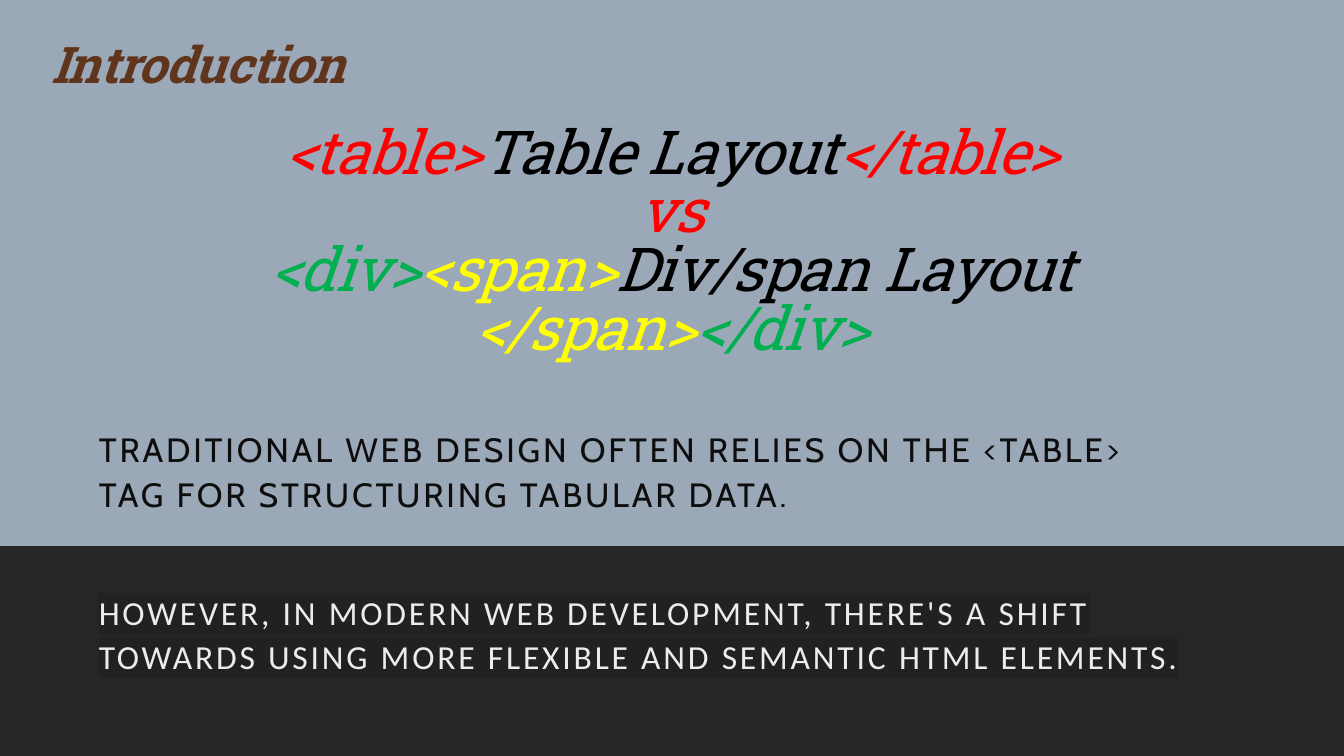
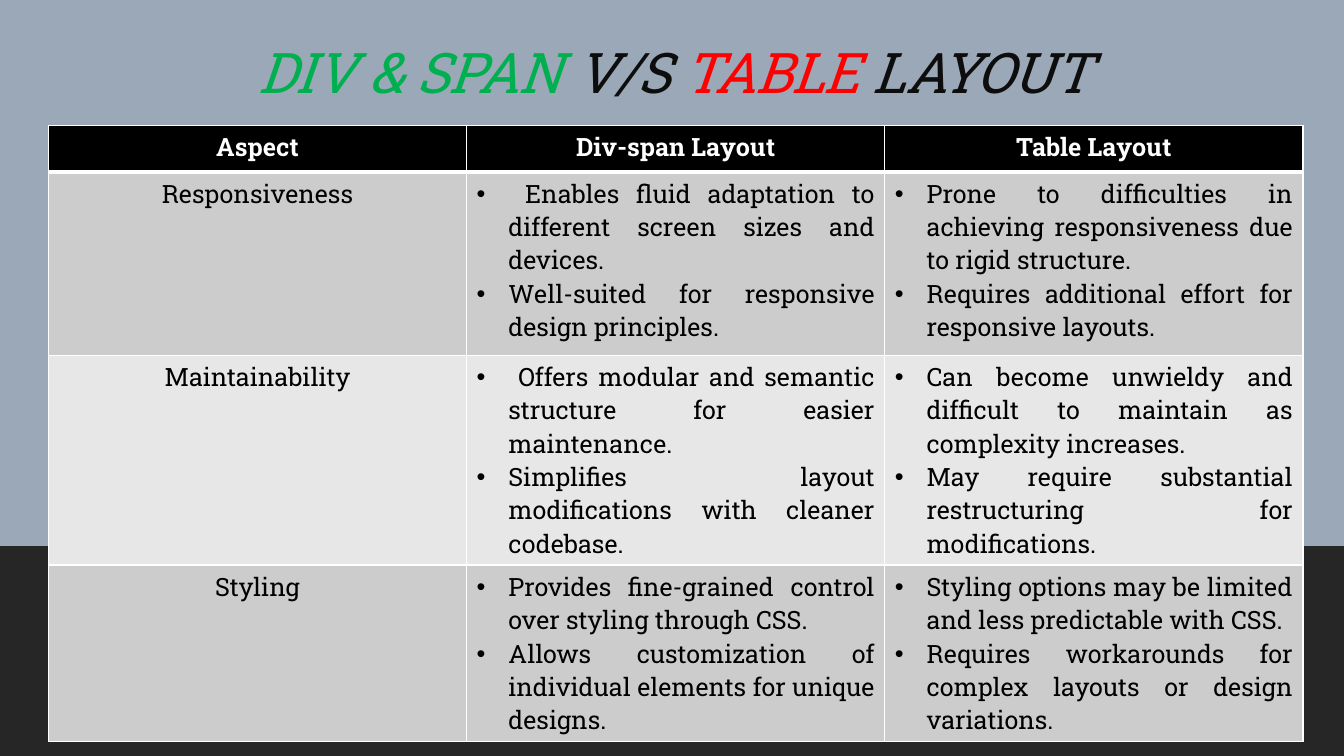
import pptx
import pptx.dml.color
import pptx.enum.shapes
import pptx.enum.text
import pptx.oxml.ns
import pptx.util
from lxml import etree

Cm = pptx.util.Cm
Pt = pptx.util.Pt
RGBColor = pptx.dml.color.RGBColor
ALIGN = pptx.enum.text.PP_ALIGN
ANCHOR = pptx.enum.text.MSO_ANCHOR
qn = pptx.oxml.ns.qn

# Shared colours and fonts
BLUE_GREY = RGBColor(0x9B, 0xA8, 0xB7)
CHARCOAL = RGBColor(0x26, 0x26, 0x26)
HIGHLIGHT = RGBColor(0x21, 0x21, 0x21)
BLACK = RGBColor(0x00, 0x00, 0x00)
INK = RGBColor(0x0D, 0x0D, 0x0D)
WHITE = RGBColor(0xFF, 0xFF, 0xFF)
OFF_WHITE = RGBColor(0xEC, 0xEC, 0xEC)
RED = RGBColor(0xFF, 0x00, 0x00)
GREEN = RGBColor(0x00, 0xB0, 0x50)
YELLOW = RGBColor(0xFF, 0xFF, 0x00)
BROWN = RGBColor(0x60, 0x35, 0x1D)
GREY = RGBColor(0xCC, 0xCC, 0xCC)
LIGHT_GREY = RGBColor(0xE7, 0xE7, 0xE7)
SLAB = "Roboto Slab"
TITLE_STYLE = {"font": SLAB, "italic": True, "tracking": -0.5}
BODY_STYLE = {"size": 24, "tracking": 2}


def write(paragraph, text, font=SLAB, size=18, color=BLACK, bold=False,
          italic=False, tracking=0, highlight=None):
    """Add a formatted run to a paragraph."""
    run = paragraph.add_run()
    run.text = text
    run.font.name = font
    run.font.size = Pt(size)
    run.font.bold = bold
    run.font.italic = italic
    run.font.color.rgb = color
    properties = run.font._element
    if tracking:
        properties.set("spc", str(int(tracking * 100)))
    if highlight is not None:
        mark = etree.Element(qn("a:highlight"))
        etree.SubElement(mark, qn("a:srgbClr"), val=str(highlight))
        properties.find(qn("a:solidFill")).addnext(mark)


def place(shape, left, top, width, height, align=ALIGN.LEFT,
          anchor=ANCHOR.MIDDLE, spacing=0.9):
    """Position a text shape and return its first paragraph."""
    shape.left, shape.top = Cm(left), Cm(top)
    shape.width, shape.height = Cm(width), Cm(height)
    frame = shape.text_frame
    frame.word_wrap = True
    frame.auto_size = pptx.enum.text.MSO_AUTO_SIZE.NONE
    frame.vertical_anchor = anchor
    paragraph = frame.paragraphs[0]
    paragraph.alignment = align
    paragraph.line_spacing = spacing
    paragraph.space_before = Pt(0)
    return paragraph


# Presentation with a common background and lower band
presentation = pptx.Presentation()
presentation.slide_width = Cm(33.87)
presentation.slide_height = Cm(19.05)
background = presentation.slide_master.background.fill
background.solid()
background.fore_color.rgb = BLUE_GREY

TITLE_SLIDE, TITLE_ONLY = 0, 5
slides = []
for layout_number in (TITLE_SLIDE, TITLE_ONLY):
    slide = presentation.slides.add_slide(presentation.slide_layouts[layout_number])
    band = slide.shapes.add_shape(
        pptx.enum.shapes.MSO_SHAPE.RECTANGLE, 0, Cm(13.76),
        presentation.slide_width, presentation.slide_height - Cm(13.76))
    band.shadow.inherit = False
    band.fill.solid()
    band.fill.fore_color.rgb = CHARCOAL
    band.line.fill.background()
    slides.append(slide)
introduction, comparison = slides

# Introduction: title in the form of markup
title = place(introduction.shapes.title, 4.9, 2.8, 24.08, 6.73,
              align=ALIGN.CENTER, spacing=0.81)
title_lines = [
    [("<table>", RED), ("Table Layout", BLACK), ("</table>", RED)],
    [("vs", RED)],
    [("<div>", GREEN), ("<span>", YELLOW), ("Div/span Layout ", BLACK),
     ("</span>", YELLOW), ("</div>", GREEN)],
]
for number, line in enumerate(title_lines):
    if number:
        title.add_line_break()
    for text, color in line:
        write(title, text, size=43.2, color=color, **TITLE_STYLE)

# Introduction: heading and two statements
heading = place(introduction.shapes.add_textbox(0, 0, 0, 0), 1.04, 0.25, 27.94, 2.9)
write(heading, "Introduction", size=36, color=BROWN, bold=True, **TITLE_STYLE)

subtitle = place(introduction.placeholders[1], 2.24, 10.59, 27.94, 3.18,
                 anchor=ANCHOR.TOP, spacing=1.1)
write(subtitle, "TRADITIONAL WEB DESIGN OFTEN RELIES ON THE <TABLE> TAG FOR "
      "STRUCTURING TABULAR DATA.", font="Cabin", color=INK, **BODY_STYLE)

statement = place(introduction.shapes.add_textbox(0, 0, 0, 0), 2.24, 14.68, 27.94, 3.18,
                  anchor=ANCHOR.TOP, spacing=1.1)
write(statement, "HOWEVER, IN MODERN WEB DEVELOPMENT, THERE'S A SHIFT TOWARDS "
      "USING MORE FLEXIBLE AND SEMANTIC HTML ELEMENTS.", font="Calibri",
      color=OFF_WHITE, highlight=HIGHLIGHT, **BODY_STYLE)

# Comparison: title
title = place(comparison.shapes.title, 3.05, 0.46, 27.94, 2.9, align=ALIGN.CENTER)
for text, color in [("DIV & SPAN ", GREEN), ("V/S ", INK), ("TABLE", RED), (" LAYOUT", INK)]:
    write(title, text, size=40, color=color, **TITLE_STYLE)

# Comparison: table contents, where a list stands for bullets
rows = [
    ["Aspect", "Div-span Layout", "Table Layout"],
    ["Responsiveness",
     [" Enables fluid adaptation to different screen sizes and devices.",
      "Well-suited for responsive design principles."],
     ["Prone to difficulties in achieving responsiveness due to rigid structure.",
      "Requires additional effort for responsive layouts."]],
    ["Maintainability",
     [" Offers modular and semantic structure for easier maintenance.",
      "Simplifies layout modifications with cleaner codebase."],
     ["Can become unwieldy and difficult to maintain as complexity increases.",
      "May require substantial restructuring for modifications."]],
    ["Styling",
     ["Provides fine-grained control over styling through CSS.",
      "Allows customization of individual elements for unique designs."],
     ["Styling options may be limited and less predictable with CSS.",
      "Requires workarounds for complex layouts or design variations."]],
]
row_heights = [1.17, 4.62, 5.28, 4.45]
row_fills = [BLACK, GREY, LIGHT_GREY, GREY]
column_width = 10.54
table = comparison.shapes.add_table(
    len(rows), 3, Cm(1.22), Cm(3.16), Cm(3 * column_width), Cm(sum(row_heights))).table
for column in table.columns:
    column.width = Cm(column_width)

for row_number, row in enumerate(rows):
    table.rows[row_number].height = Cm(row_heights[row_number])
    is_header = row_number == 0
    for column_number, content in enumerate(row):
        cell = table.cell(row_number, column_number)

        # White borders, thicker below the header
        borders = {"L": 1, "R": 1, "T": 3 if row_number == 1 else 1,
                   "B": 3 if is_header else 1}
        cell_properties = cell._tc.get_or_add_tcPr()
        for side, width in borders.items():
            border = etree.SubElement(cell_properties, qn("a:ln" + side), w=str(Pt(width)))
            border_fill = etree.SubElement(border, qn("a:solidFill"))
            etree.SubElement(border_fill, qn("a:srgbClr"), val=str(WHITE))
        cell.fill.solid()
        cell.fill.fore_color.rgb = row_fills[row_number]

        # Centred labels or justified bullets
        is_list = isinstance(content, list)
        for number, text in enumerate(content if is_list else [content]):
            frame = cell.text_frame
            paragraph = frame.add_paragraph() if number else frame.paragraphs[0]
            paragraph.alignment = ALIGN.JUSTIFY if is_list else ALIGN.CENTER
            if is_list:
                properties = paragraph._p.get_or_add_pPr()
                properties.set("marL", str(Cm(0.8)))
                properties.set("indent", str(-Cm(0.8)))
                etree.SubElement(properties, qn("a:buFont"), typeface="Arial")
                etree.SubElement(properties, qn("a:buChar"), char="•")
            write(paragraph, text, color=WHITE if is_header else BLACK, bold=is_header)

presentation.save("out.pptx")
